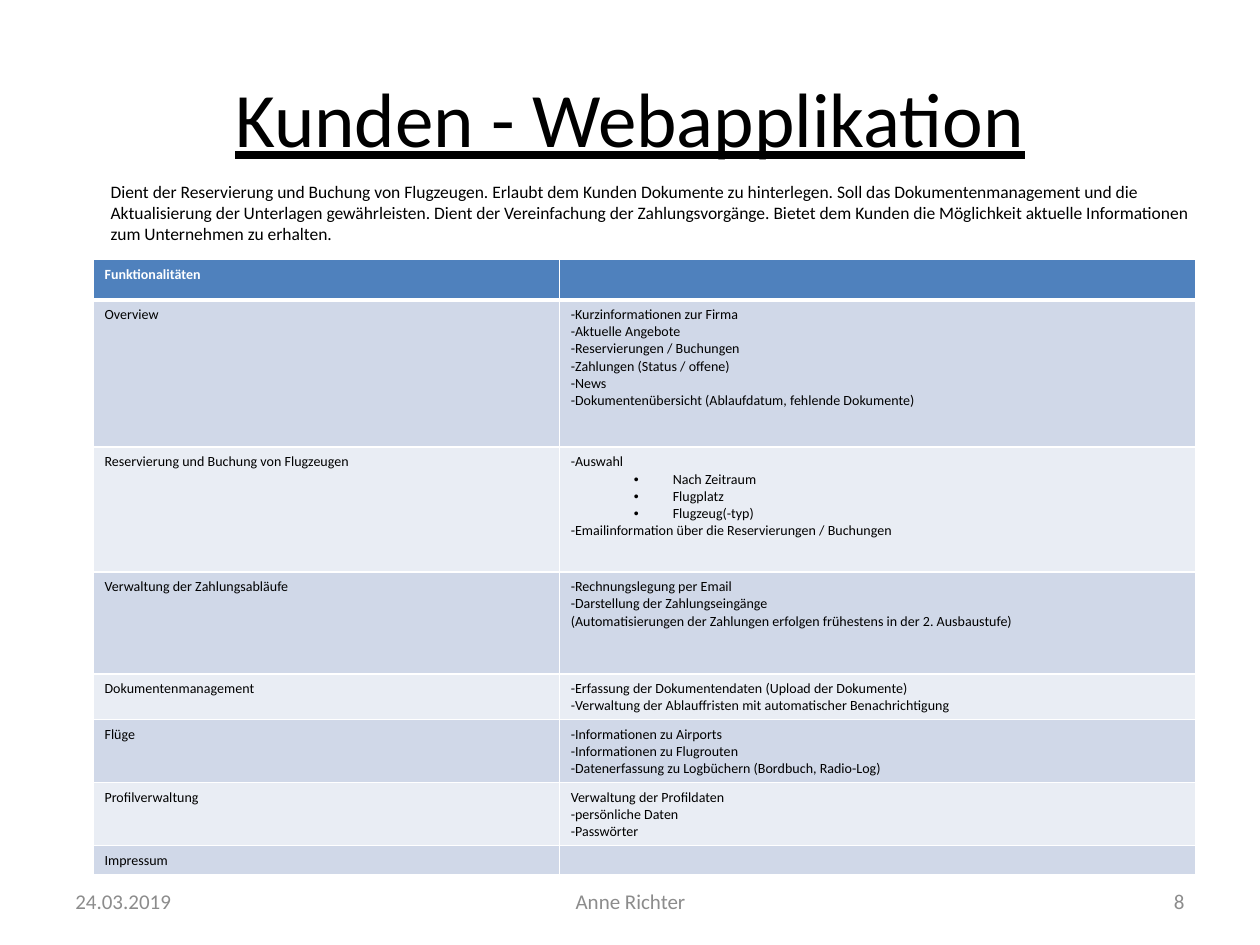
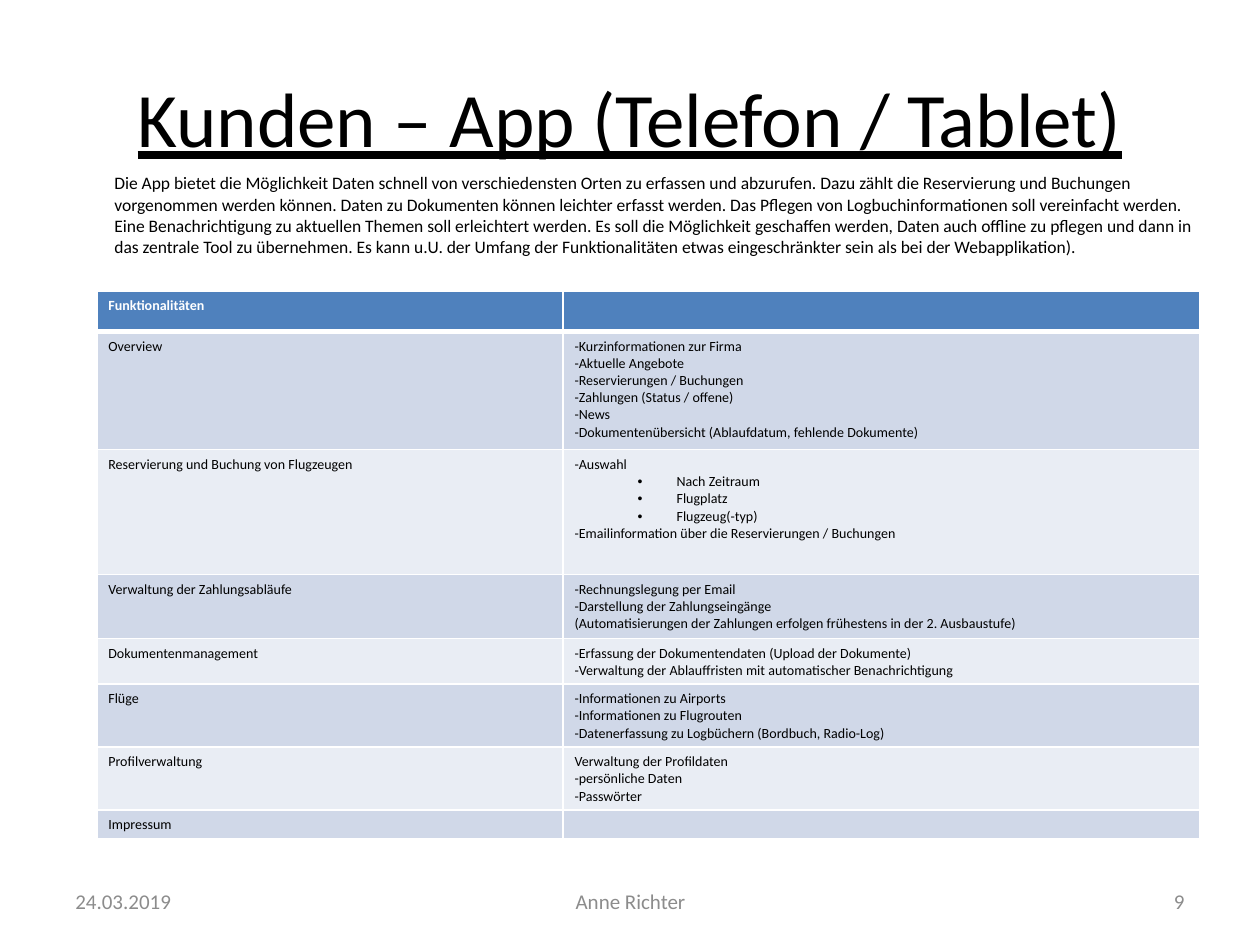
from dataclasses import dataclass

from lxml.etree import SubElement as Sub
from pptx import Presentation
from pptx.dml.color import RGBColor as Rgb
from pptx.enum.text import MSO_ANCHOR as Anchor, PP_ALIGN as Align
from pptx.oxml.ns import qn
from pptx.util import Inches, Pt


@dataclass(frozen=True)
class Theme:
    font: str = "Calibri"
    ink: str = "000000"
    white: str = "FFFFFF"
    gray: str = "8C8C8C"
    head: str = "4F81BD"
    bands: tuple = ("E9EDF4", "D0D8E8")
    title: int = 44
    foot: int = 12
    body: int = 10
    cell: int = 8


LOOK = Theme()
BULLET = "•"

# Table text: label and lines, shared by both slides
ROWS = [
    ("Funktionalitäten", []),
    ("Overview", [
        "-Kurzinformationen zur Firma",
        "-Aktuelle Angebote",
        "-Reservierungen / Buchungen",
        "-Zahlungen (Status / offene)",
        "-News",
        "-Dokumentenübersicht (Ablaufdatum, fehlende Dokumente)"]),
    ("Reservierung und Buchung von Flugzeugen", [
        "-Auswahl",
        BULLET + "Nach Zeitraum",
        BULLET + "Flugplatz",
        BULLET + "Flugzeug(-typ)",
        "-Emailinformation über die Reservierungen / Buchungen"]),
    ("Verwaltung der Zahlungsabläufe", [
        "-Rechnungslegung per Email",
        "-Darstellung der Zahlungseingänge",
        "(Automatisierungen der Zahlungen erfolgen frühestens in der 2. Ausbaustufe)"]),
    ("Dokumentenmanagement", [
        "-Erfassung der Dokumentendaten (Upload der Dokumente)",
        "-Verwaltung der Ablauffristen mit automatischer Benachrichtigung"]),
    ("Flüge", [
        "-Informationen zu Airports",
        "-Informationen zu Flugrouten",
        "-Datenerfassung zu Logbüchern (Bordbuch, Radio-Log)"]),
    ("Profilverwaltung", [
        "Verwaltung der Profildaten",
        "-persönliche Daten",
        "-Passwörter"]),
    ("Impressum", []),
]

WEB = (
    "Dient der Reservierung und Buchung von Flugzeugen. Erlaubt dem Kunden "
    "Dokumente zu hinterlegen. Soll das Dokumentenmanagement und die "
    "Aktualisierung der Unterlagen gewährleisten. Dient der Vereinfachung der "
    "Zahlungsvorgänge. Bietet dem Kunden die Möglichkeit aktuelle "
    "Informationen zum Unternehmen zu erhalten.")
APP = (
    "Die App bietet die Möglichkeit Daten schnell von verschiedensten Orten zu "
    "erfassen und abzurufen. Dazu zählt die Reservierung und Buchungen "
    "vorgenommen werden können. Daten zu Dokumenten können leichter erfasst "
    "werden. Das Pflegen von Logbuchinformationen soll vereinfacht werden. "
    "Eine Benachrichtigung zu aktuellen Themen soll erleichtert werden. Es "
    "soll die Möglichkeit geschaffen werden, Daten auch offline zu pflegen und "
    "dann in das zentrale Tool zu übernehmen. Es kann u.U. der Umfang der "
    "Funktionalitäten etwas eingeschränkter sein als bei der Webapplikation).")


def add_run(para, text, size, color, bold=False, line=False):
    run = para.add_run()
    run.text = text
    font = run.font
    font.name, font.size = LOOK.font, Pt(size)
    font.bold, font.underline = bold, line
    font.color.rgb = Rgb.from_string(color)


def indent(para, left, first=0):
    props = para._p.get_or_add_pPr()
    props.set("marL", str(Inches(left)))
    props.set("indent", str(Inches(first)))
    return props


def add_text(slide, box, text, size, color, align=Align.LEFT,
             anchor=Anchor.MIDDLE, left=0, line=False):
    frame = slide.shapes.add_textbox(*map(Inches, box)).text_frame
    frame.word_wrap = True
    frame.vertical_anchor = anchor
    para = frame.paragraphs[0]
    para.alignment = align
    indent(para, left)
    add_run(para, text, size, color, line=line)


def set_edges(cell, top, base):
    props = cell._tc.get_or_add_tcPr()
    for side, width in zip("LRTB", (1, 1, top, base)):
        edge = Sub(props, qn(f"a:ln{side}"), w=str(Pt(width)))
        fill = Sub(edge, qn("a:solidFill"))
        Sub(fill, qn("a:srgbClr"), val=LOOK.white)


def fill_cell(cell, lines, row):
    head = row == 0
    set_edges(cell, 3 if row == 1 else 1, 3 if head else 1)
    cell.fill.solid()
    cell.fill.fore_color.rgb = Rgb.from_string(
        LOOK.head if head else LOOK.bands[row % 2])
    cell.margin_left = cell.margin_right = Inches(0.09)
    cell.margin_top, cell.margin_bottom = Inches(0.05), Inches(0.04)
    frame = cell.text_frame
    para = frame.paragraphs[0]
    # An empty cell keeps the small type size, so its row stays low
    if not lines:
        Sub(para._p, qn("a:endParaRPr"), sz=str(LOOK.cell * 100))
    for num, text in enumerate(lines):
        if num:
            para = frame.add_paragraph()
        if text.startswith(BULLET):
            para.level = 1
            props = indent(para, 0.81, -0.31)
            Sub(props, qn("a:buFont"), typeface="Arial")
            Sub(props, qn("a:buChar"), char=BULLET)
            text = text[len(BULLET):]
        add_run(para, text, LOOK.cell, LOOK.white if head else LOOK.ink, head)


def add_grid(slide, left, top, highs):
    cols = (3.7, 5.05)
    box = (left, top, sum(cols), sum(highs))
    table = slide.shapes.add_table(
        len(ROWS), len(cols), *map(Inches, box)).table
    table.first_row = table.horz_banding = False
    for col, width in zip(table.columns, cols):
        col.width = Inches(width)
    for row, (high, (label, lines)) in enumerate(zip(highs, ROWS)):
        table.rows[row].height = Inches(high)
        fill_cell(table.cell(row, 0), [label], row)
        fill_cell(table.cell(row, 1), lines, row)


def add_foot(slide, page):
    for left, width, text, align in (
            (0.5, 2.33, "24.03.2019", Align.LEFT),
            (7.17, 2.33, str(page), Align.RIGHT),
            (3.42, 3.17, "Anne Richter", Align.CENTER)):
        add_text(slide, (left, 6.95, width, 0.4), text, LOOK.foot,
                 LOOK.gray, align)


def add_page(deck, page, title, intro, box, spot, highs):
    slide = deck.slides.add_slide(deck.slide_layouts[6])
    add_text(slide, (0.5, 0.3, 9, 1.25), title, LOOK.title, LOOK.ink,
             Align.CENTER, line=True)
    add_text(slide, box, intro, LOOK.body, LOOK.ink, anchor=Anchor.TOP,
             left=0.5)
    add_grid(slide, *spot, highs)
    add_foot(slide, page)


def main():
    deck = Presentation()
    deck.slide_width, deck.slide_height = Inches(10), Inches(7.5)
    low = (0.36, 0.5, 0.5, 0.23)  # lower rows, alike on both slides
    add_page(deck, 8, "Kunden - Webapplikation", WEB,
             (0.28, 1.39, 9.37, 0.61), (0.74, 2.06),
             (0.32, 1.17, 0.99, 0.81, *low))
    add_page(deck, 9, "Kunden – App (Telefon / Tablet)", APP,
             (0.31, 1.32, 9.37, 0.77), (0.77, 2.31),
             (0.32, 0.94, 0.99, 0.51, *low))
    deck.save("out.pptx")


if __name__ == "__main__":
    main()
